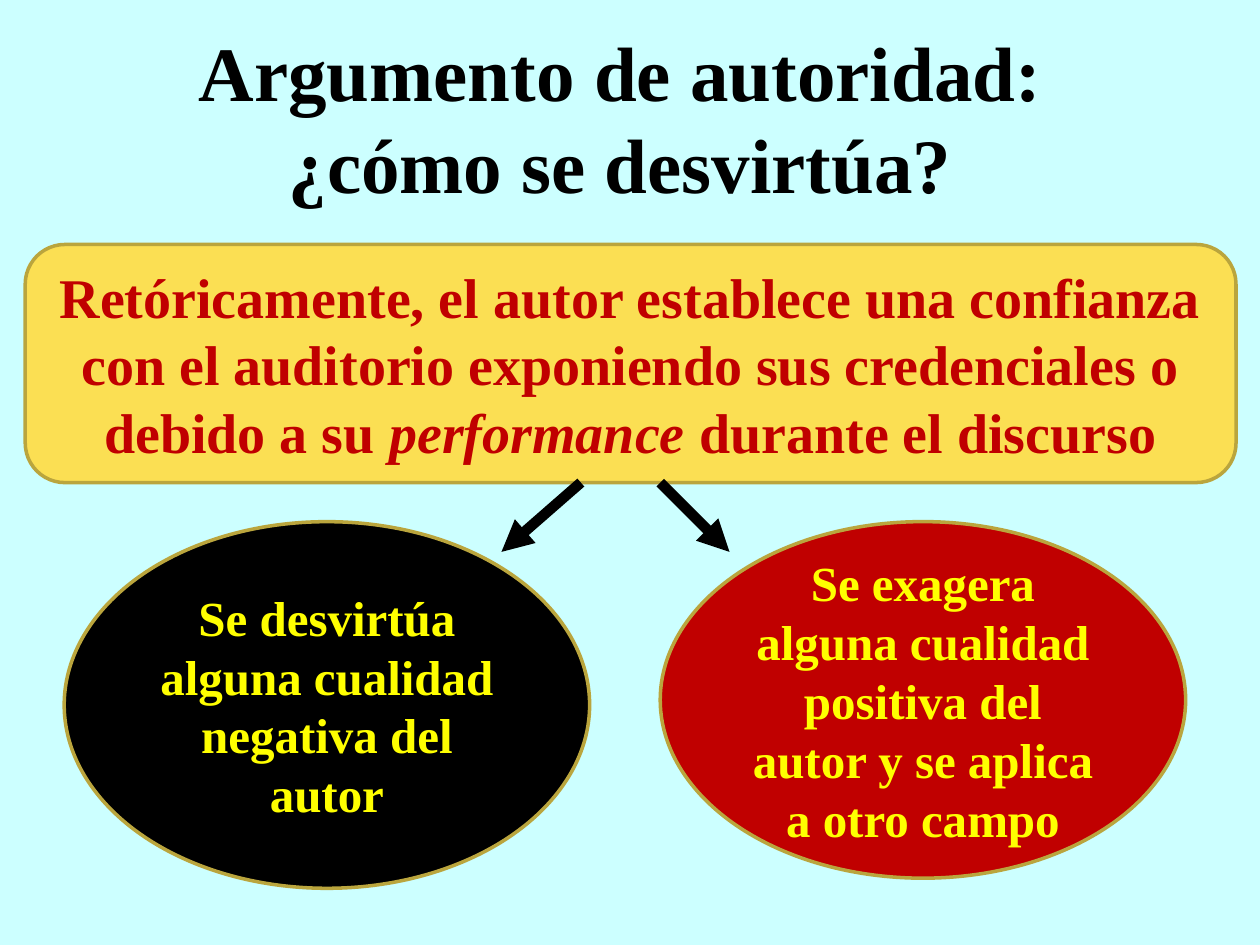
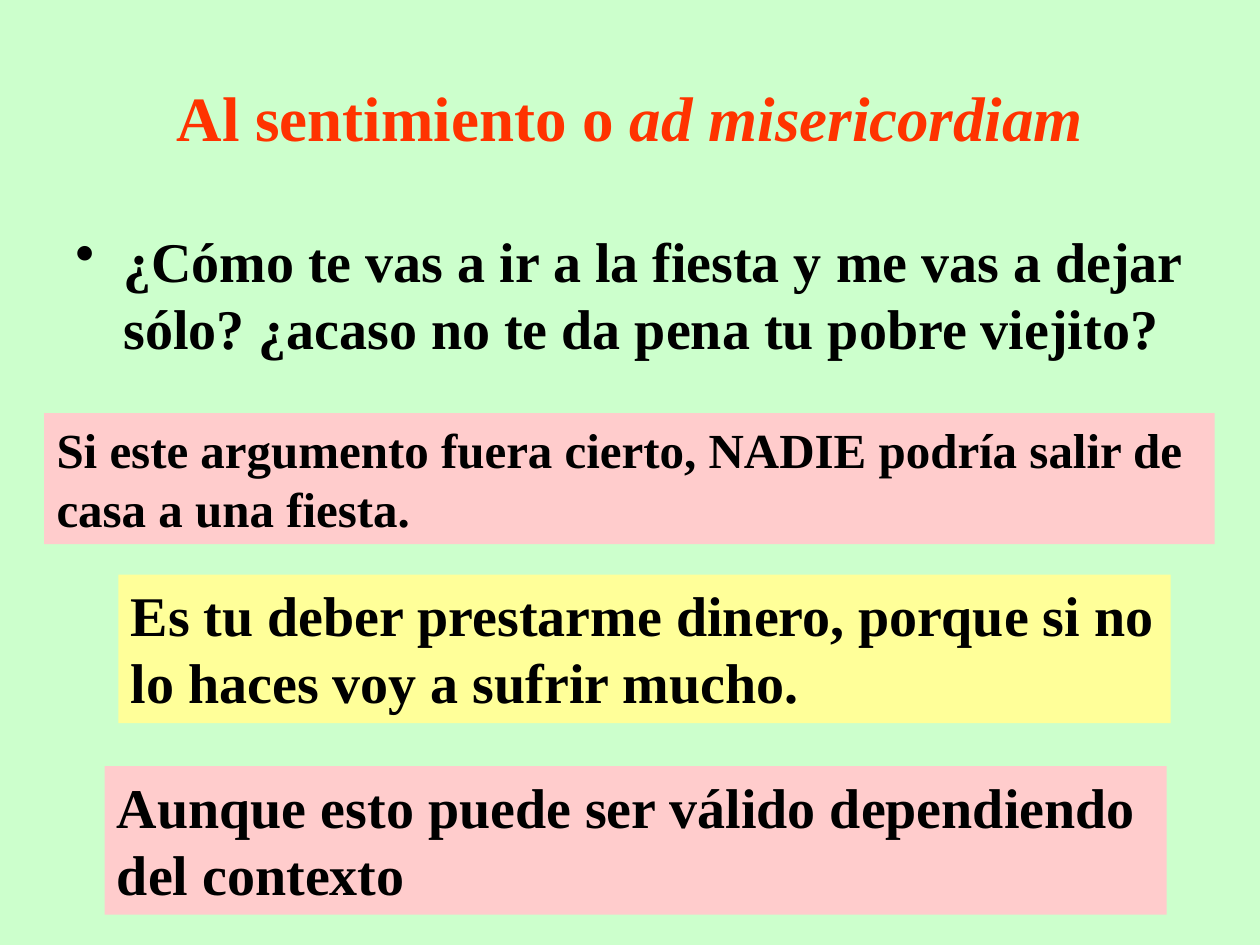
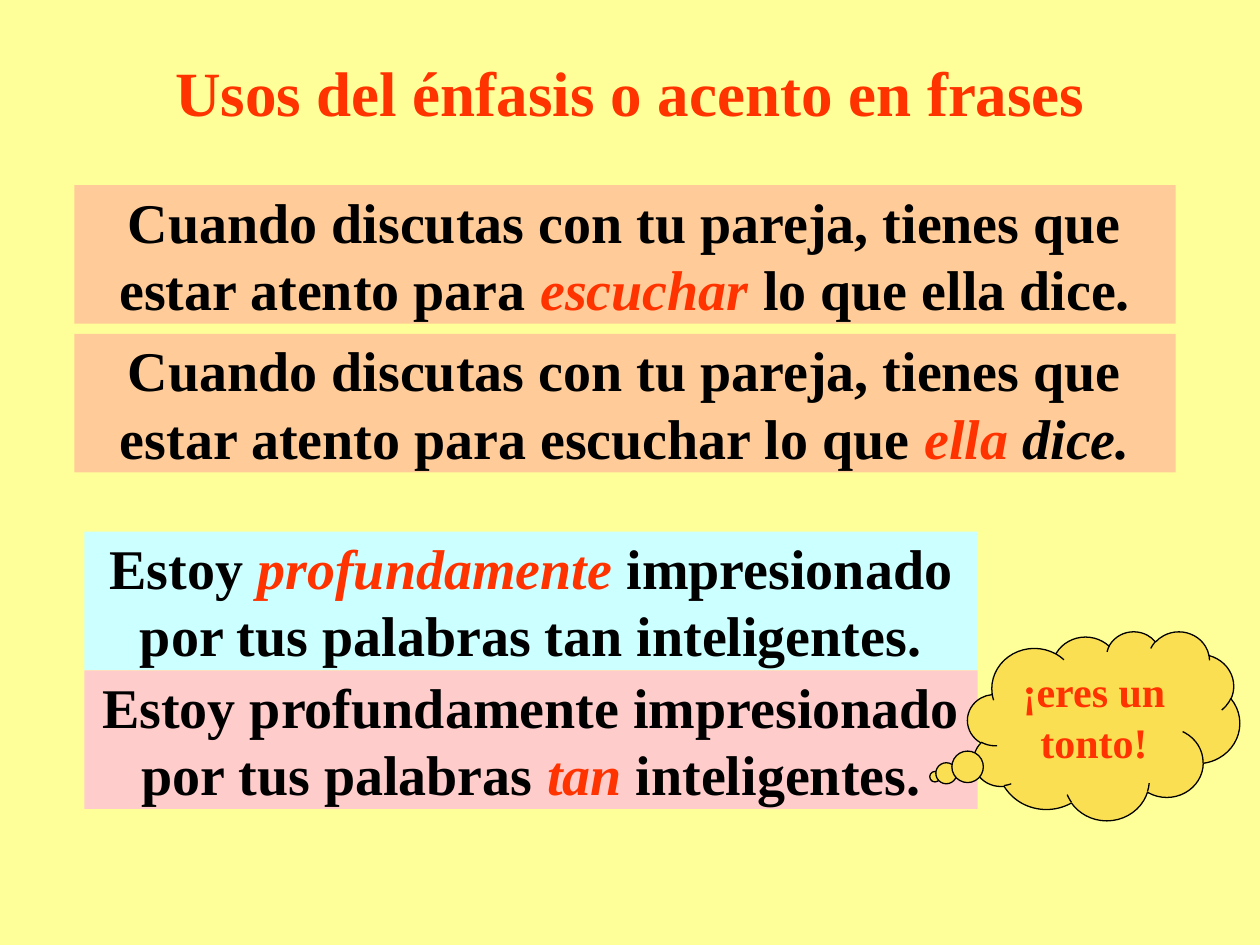
import pptx
import pptx.dml.color
import pptx.enum.shapes
import pptx.enum.text
import pptx.oxml.ns
import pptx.util
from lxml import etree

Inches = pptx.util.Inches
Pt = pptx.util.Pt
SHAPE = pptx.enum.shapes.MSO_SHAPE
ALIGN = pptx.enum.text.PP_ALIGN
ANCHOR = pptx.enum.text.MSO_ANCHOR

COLORS = {
    "black": "000000",
    "crimson": "C00000",
    "accent": "FF3300",
    "yellow": "FFFF00",
    "gold": "FBDF53",
    "dark_gold": "BAA53D",
    "sky": "CCFFFF",
    "mint": "CCFFCC",
    "cream": "FFFF99",
    "rose": "FFCCCC",
    "peach": "FFCC99",
}
FONT = {"name": "Times New Roman", "bold": True}
STRESS = {"italic": True, "color": "accent"}
ITALIC = {"italic": True}


def rgb(name):
    """Return the named colour."""
    return pptx.dml.color.RGBColor.from_string(COLORS[name])


def add_slide(presentation, background):
    """Add a blank slide with a plain background."""
    slide = presentation.slides.add_slide(presentation.slide_layouts[6])
    slide.background.fill.solid()
    slide.background.fill.fore_color.rgb = rgb(background)
    return slide


def write_text(shape, pieces, size, color="black", align=ALIGN.CENTER, anchor=ANCHOR.MIDDLE):
    """Write one paragraph from (text, format) pieces and return it."""
    frame = shape.text_frame
    for name, value in {"word_wrap": True, "vertical_anchor": anchor}.items():
        setattr(frame, name, value)
    paragraph = frame.paragraphs[0]
    paragraph.alignment = align
    for text, changes in pieces:
        values = {**FONT, "size": Pt(size), "color": color, **changes}
        color_name = values.pop("color")
        for number, line in enumerate(text.split("\n")):
            if number:
                paragraph.add_line_break()
            run = paragraph.add_run()
            run.text = line
            for name, value in values.items():
                setattr(run.font, name, value)
            run.font.color.rgb = rgb(color_name)
    return paragraph


def add_title(slide, pieces, size=36, color="accent", height=1.25):
    """Add the centred slide title."""
    box = slide.shapes.add_textbox(Inches(0.5), Inches(0.3), Inches(9), Inches(height))
    write_text(box, pieces, size, color)


def add_bullet(slide, text, place):
    """Add a bulleted statement with a hanging indent."""
    box = slide.shapes.add_textbox(*map(Inches, place))
    paragraph = write_text(box, [(text, {})], 32, align=ALIGN.LEFT, anchor=ANCHOR.TOP)
    properties = paragraph._p.get_or_add_pPr()
    indent = Inches(0.38)
    properties.set("marL", str(indent))
    properties.set("indent", str(-indent))
    etree.SubElement(properties, pptx.oxml.ns.qn("a:buChar")).set("char", "•")


def add_panel(slide, kind, place, fill, line=None, width=2):
    """Add a filled shape, outlined when a line colour is given."""
    shape = slide.shapes.add_shape(kind, *map(Inches, place))
    shape.shadow.inherit = False
    shape.fill.solid()
    shape.fill.fore_color.rgb = rgb(fill)
    if line:
        shape.line.color.rgb = rgb(line)
        shape.line.width = Pt(width)
    else:
        shape.line.fill.background()
    return shape


def add_arrow(slide, start, end):
    """Add a thick black arrow."""
    connector = slide.shapes.add_connector(
        pptx.enum.shapes.MSO_CONNECTOR.STRAIGHT, *map(Inches, start + end))
    connector.line.color.rgb = rgb("black")
    connector.line.width = Pt(6)
    outline = connector.line._get_or_add_ln()
    etree.SubElement(outline, pptx.oxml.ns.qn("a:tailEnd")).set("type", "triangle")
    etree.SubElement(connector._element.spPr, pptx.oxml.ns.qn("a:effectLst"))


def build_authority(presentation):
    """Build the slide on the argument from authority."""
    slide = add_slide(presentation, "sky")
    add_title(slide, [("Argumento de autoridad: \n¿cómo se desvirtúa? ", {})], 44, "black")
    premise = add_panel(slide, SHAPE.ROUNDED_RECTANGLE, (0.2, 1.94, 9.61, 1.89), "gold", "dark_gold")
    write_text(premise, [
        ("Retóricamente, el autor establece una confianza con el auditorio "
         "exponiendo sus credenciales o debido a su ", {}),
        ("performance", ITALIC),
        (" durante el discurso", {}),
    ], 32, "crimson")
    distortions = [
        (0.51, 2.91, "black", "Se desvirtúa alguna cualidad negativa del autor"),
        (5.24, 2.83, "crimson",
         "Se exagera alguna cualidad positiva del autor y se aplica a otro campo"),
    ]
    for left, height, fill, text in distortions:
        ellipse = add_panel(slide, SHAPE.OVAL, (left, 4.14, 4.17, height), fill, "dark_gold")
        write_text(ellipse, [(text, {})], 28, "yellow")
    for start, end in [(4.61, 3.98), (5.24, 5.79)]:
        add_arrow(slide, (start, 3.83), (end, 4.38))


def build_pity(presentation):
    """Build the slide on the appeal to pity."""
    slide = add_slide(presentation, "mint")
    add_title(slide, [("Al sentimiento o ", {}), ("ad misericordiam", ITALIC)])
    add_bullet(slide, "¿Cómo te vas a ir a la fiesta y me vas a dejar sólo? "
               "¿acaso no te da pena tu pobre viejito?", (0.5, 1.75, 9, 1.29))
    remarks = [
        ((0.35, 3.28, 9.29, 1.04), "rose", 28,
         "Si este argumento fuera cierto, NADIE podría salir de casa a una fiesta."),
        ((0.94, 4.56, 8.35, 1.18), "cream", 32,
         "Es tu deber prestarme dinero, porque si no lo haces voy a sufrir mucho."),
        ((0.83, 6.08, 8.43, 1.18), "rose", 32,
         "Aunque esto puede ser válido dependiendo del contexto"),
    ]
    for place, fill, size, text in remarks:
        remark = add_panel(slide, SHAPE.RECTANGLE, place, fill)
        write_text(remark, [(text, {})], size, align=ALIGN.LEFT, anchor=ANCHOR.TOP)


def build_emphasis(presentation):
    """Build the slide on emphasis in sentences."""
    slide = add_slide(presentation, "cream")
    add_title(slide, [("Usos del énfasis o acento en frases", {})], height=0.85)
    couple = "Cuando discutas con tu pareja, tienes que estar atento para "
    sentences = [
        (0.59, 1.47, 8.74, "peach",
         [(couple, {}), ("escuchar", STRESS), (" lo que ella dice.", {})]),
        (0.59, 2.65, 8.74, "peach",
         [(couple + "escuchar lo que ", {}), ("ella", STRESS), (" dice.", ITALIC)]),
        (0.67, 4.22, 7.09, "sky",
         [("Estoy ", {}), ("profundamente", STRESS),
          (" impresionado por tus palabras tan inteligentes.", {})]),
        (0.67, 5.32, 7.09, "rose",
         [("Estoy profundamente impresionado por tus palabras ", {}),
          ("tan", STRESS), (" inteligentes.", {})]),
    ]
    for left, top, width, fill, pieces in sentences:
        sentence = add_panel(slide, SHAPE.RECTANGLE, (left, top, width, 1.1), fill)
        write_text(sentence, pieces, 32)
    thought = add_panel(slide, SHAPE.CLOUD_CALLOUT, (7.68, 5.01, 2.16, 1.5), "gold", "black", 0.75)
    for index, value in enumerate((-0.62, 0.27)):
        thought.adjustments[index] = value
    write_text(thought, [("¡eres un tonto!", {})], 24, "accent", anchor=ANCHOR.TOP)


def main():
    """Build and save the presentation."""
    presentation = pptx.Presentation()
    presentation.slide_width = Inches(10)
    presentation.slide_height = Inches(7.5)
    for build in (build_authority, build_pity, build_emphasis):
        build(presentation)
    presentation.save("out.pptx")


if __name__ == "__main__":
    main()
